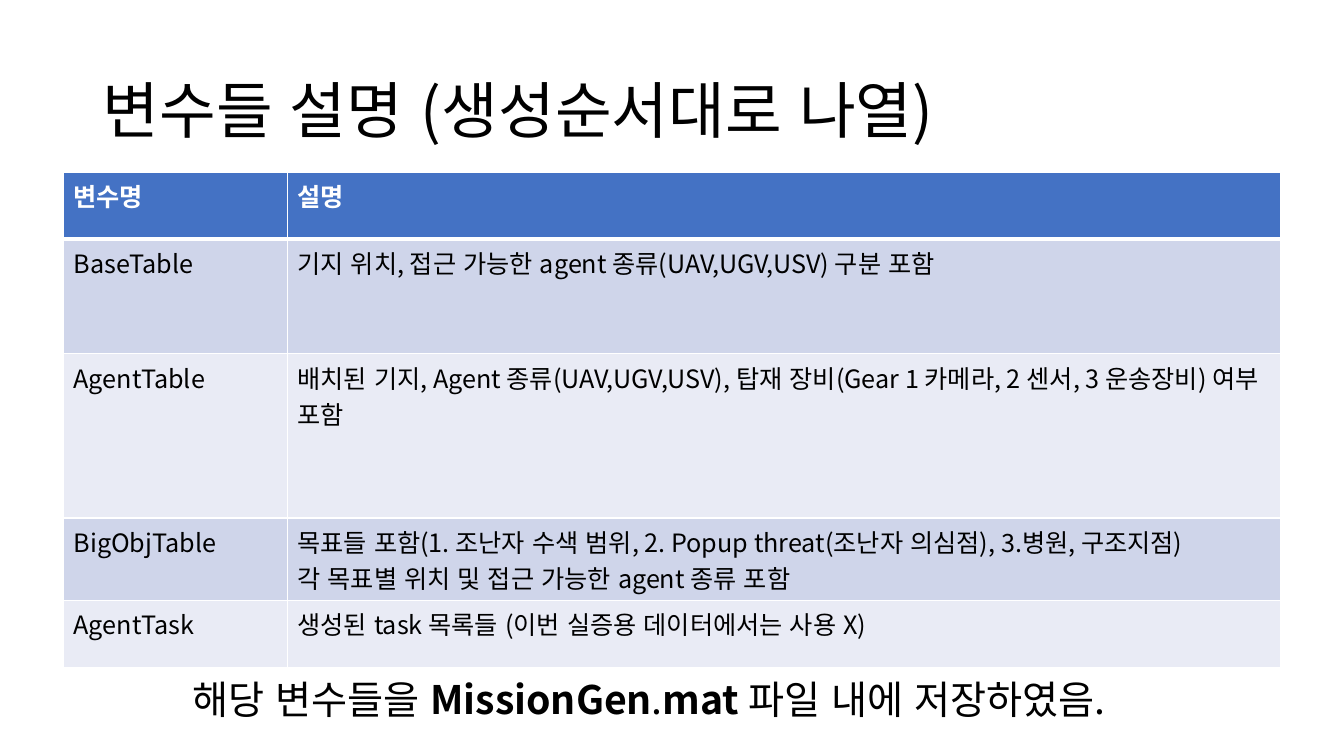
import pptx
import pptx.util
import pptx.dml.color
import pptx.enum.lang
import pptx.enum.text
import pptx.oxml
import pptx.oxml.ns
from pptx.util import Inches

FONT = "Noto Sans CJK KR"
BLACK = pptx.dml.color.RGBColor(0x00, 0x00, 0x00)
WHITE = pptx.dml.color.RGBColor(0xFF, 0xFF, 0xFF)
HEADER_BLUE = pptx.dml.color.RGBColor(0x44, 0x72, 0xC4)
BAND_DARK = pptx.dml.color.RGBColor(0xCF, 0xD5, 0xEA)
BAND_LIGHT = pptx.dml.color.RGBColor(0xE9, 0xEB, 0xF5)

TITLE = "변수들 설명 (생성순서대로 나열)"
# Row height, variable name, description paragraphs
ROWS = [
    (0.66, "변수명", ["설명"]),
    (1.14, "BaseTable", ["기지 위치, 접근 가능한 agent 종류(UAV,UGV,USV) 구분 포함"]),
    (1.63, "AgentTable", ["배치된 기지, Agent 종류(UAV,UGV,USV), 탑재 장비(Gear 1 카메라, 2 센서, 3 운송장비) 여부 포함"]),
    (0.82, "BigObjTable", [
        "목표들 포함(1. 조난자 수색 범위, 2. Popup threat(조난자 의심점), 3.병원, 구조지점)",
        "각 목표별 위치 및 접근 가능한 agent 종류 포함",
    ]),
    (0.66, "AgentTask", ["생성된 task 목록들 (이번 실증용 데이터에서는 사용 X)"]),
]
COLUMN_WIDTHS = [2.22, 9.85]
# Text, bold
CAPTION = [
    ("해당 변수들을 ", False),
    ("MissionGen", True),
    (".", False),
    ("mat ", True),
    ("파일 내에 저장하였음.", False),
]


def add_run(p, text, size, color=BLACK, bold=False):
    r = p.add_run()
    r.text = text
    r.font.name = FONT
    r.font.size = pptx.util.Pt(size)
    r.font.bold = bold
    r.font.color.rgb = color
    r.font.language_id = pptx.enum.lang.MSO_LANGUAGE_ID.KOREAN
    ea = r.font._element.makeelement(pptx.oxml.ns.qn("a:ea"), {"typeface": FONT})
    r.font._element.find(pptx.oxml.ns.qn("a:latin")).addnext(ea)


def add_text_box(s, left, top, width, height):
    tf = s.shapes.add_textbox(Inches(left), Inches(top), Inches(width), Inches(height)).text_frame
    tf.word_wrap = True
    return tf


def set_borders(cell, widths):
    """Draw white cell borders; widths maps a side (L, R, T, B) to points."""
    tc_pr = cell._tc.get_or_add_tcPr()
    for i, (side, width) in enumerate(widths.items()):
        tc_pr.insert(i, pptx.oxml.parse_xml(
            f'<a:ln{side} {pptx.oxml.ns.nsdecls("a")} w="{pptx.util.Pt(width)}">'
            f'<a:solidFill><a:srgbClr val="{WHITE}"/></a:solidFill></a:ln{side}>'))


def add_variable_table(s):
    heights = [height for height, _, _ in ROWS]
    table = s.shapes.add_table(
        len(ROWS), len(COLUMN_WIDTHS), Inches(0.63), Inches(1.71),
        Inches(sum(COLUMN_WIDTHS)), Inches(sum(heights))).table
    for column, width in zip(table.columns, COLUMN_WIDTHS):
        column.width = Inches(width)
    for i, (height, name, description) in enumerate(ROWS):
        table.rows[i].height = Inches(height)
        header = i == 0
        band = BAND_DARK if i % 2 else BAND_LIGHT
        for j, lines in enumerate([[name], description]):
            cell = table.cell(i, j)
            cell.fill.solid()
            cell.fill.fore_color.rgb = HEADER_BLUE if header else band
            set_borders(cell, {"L": 1, "R": 1, "T": 3 if i == 1 else 1, "B": 3 if header else 1})
            tf = cell.text_frame
            for k, line in enumerate(lines):
                p = tf.add_paragraph() if k else tf.paragraphs[0]
                add_run(p, line, 18, WHITE if header else BLACK, header)


def main():
    prs = pptx.Presentation()
    prs.slide_width, prs.slide_height = Inches(13.33), Inches(7.5)
    s = prs.slides.add_slide(prs.slide_layouts[6])

    tf = add_text_box(s, 0.92, 0.4, 11.5, 1.45)
    tf.vertical_anchor = pptx.enum.text.MSO_ANCHOR.MIDDLE
    tf.paragraphs[0].line_spacing = 0.9
    add_run(tf.paragraphs[0], TITLE, 44)

    add_variable_table(s)

    tf = add_text_box(s, 1.81, 6.65, 9.81, 0.57)
    for text, bold in CAPTION:
        add_run(tf.paragraphs[0], text, 28, bold=bold)

    prs.save("out.pptx")


if __name__ == "__main__":
    main()
